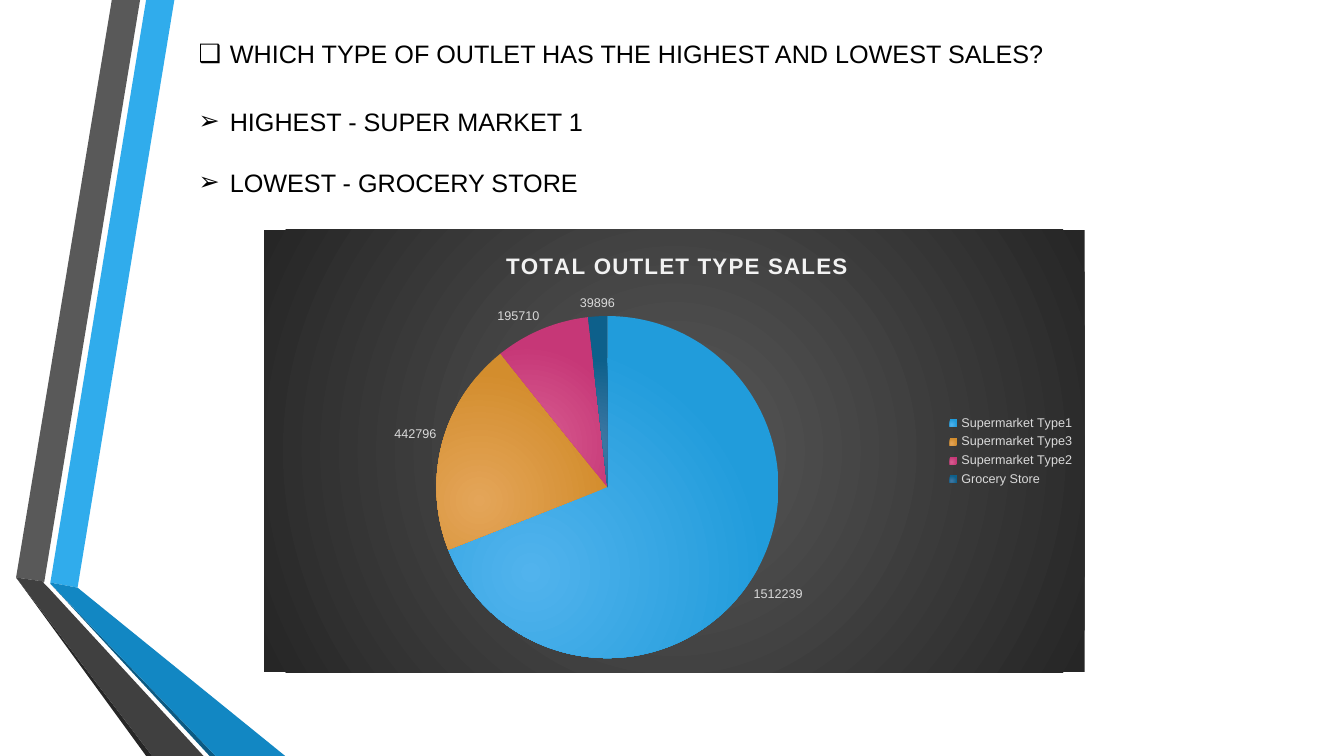
from dataclasses import dataclass

from lxml import etree
from pptx import Presentation
from pptx.chart.data import CategoryChartData
from pptx.dml.color import RGBColor
from pptx.enum.chart import XL_CHART_TYPE, XL_LABEL_POSITION, XL_LEGEND_POSITION
from pptx.enum.text import MSO_ANCHOR, MSO_AUTO_SIZE, PP_ALIGN
from pptx.oxml import parse_xml
from pptx.oxml.ns import nsdecls, qn
from pptx.util import Inches, Pt

PIE = XL_CHART_TYPE.PIE
OUTSIDE_END = XL_LABEL_POSITION.OUTSIDE_END
LEGEND_RIGHT = XL_LEGEND_POSITION.RIGHT
TOP = MSO_ANCHOR.TOP
LEFT = PP_ALIGN.LEFT
NO_AUTOFIT = MSO_AUTO_SIZE.NONE

CELL = Inches(0.1)
COLUMNS, ROWS = 133.33, 75


@dataclass(frozen=True)
class Theme:
    font: str = "Arial"
    text: str = "000000"
    chart_title: str = "F2F2F2"
    chart_text: str = "D9D9D9"
    chart_back: tuple = ("595959", "262626")
    text_size: int = 18
    chart_title_size: int = 16
    chart_text_size: int = 9
    bullet_indent: float = 3.1
    list_gap: int = 22


THEME = Theme()

RIBBONS = [
    ("30ACEC", [(5, 57.8), (7.7, 58.3), (17.3, 0), (14.5, 0)]),
    ("595959", [(13.9, 0), (11.1, 0), (1.6, 57.3), (4.4, 57.7)]),
    ("262626", [(1.6, 57.3), (14.5, ROWS), (15.1, ROWS)]),
    ("0C5A82", [(5, 57.9), (20.8, ROWS), (21.4, ROWS)]),
    ("1287C3", [(5, 57.9), (21.4, ROWS), (28.3, ROWS), (7.7, 58.3), (5, 57.8)]),
    ("404040", [(20.2, ROWS), (4.8, 58.3), (4.3, 57.8), (4.4, 57.7),
                (1.6, 57.3), (15.1, ROWS)]),
]

OUTLETS = [
    ("Supermarket Type1", 1512239, ("51B3ED", "219CDB")),
    ("Supermarket Type3", 442796, ("E4A559", "D38D2D")),
    ("Supermarket Type2", 195710, ("D95F92", "C63777")),
    ("Grocery Store", 39896, ("4179A5", "0D608B")),
]


def cells(count):
    return round(count * CELL)


def style_font(font, size, color, bold=False):
    font.name = THEME.font
    font.size = Pt(size)
    font.bold = bold
    font.color.rgb = RGBColor.from_string(color)


def add_ribbon(slide, color, corners):
    points = [(cells(column), cells(row)) for column, row in corners]
    builder = slide.shapes.build_freeform(*points[0])
    builder.add_line_segments(points[1:], close=True)
    shape = builder.convert_to_shape()
    shape.shadow.inherit = False
    shape.fill.solid()
    shape.fill.fore_color.rgb = RGBColor.from_string(color)
    shape.line.fill.background()


def set_bullet(paragraph, character):
    properties = paragraph._p.get_or_add_pPr()
    indent = cells(THEME.bullet_indent)
    properties.set("marL", str(indent))
    properties.set("indent", str(-indent))
    etree.SubElement(properties, qn("a:buFont")).set("typeface", THEME.font)
    etree.SubElement(properties, qn("a:buChar")).set("char", character)


def fill_placeholder(shape, box, bullet, lines):
    shape.left, shape.top, shape.width, shape.height = map(cells, box)
    frame = shape.text_frame
    frame.word_wrap = True
    frame.auto_size = NO_AUTOFIT
    frame.vertical_anchor = TOP
    for index, line in enumerate(lines):
        paragraph = frame.add_paragraph() if index else frame.paragraphs[0]
        paragraph.alignment = LEFT
        paragraph.space_before = Pt(THEME.list_gap if index else 0)
        set_bullet(paragraph, bullet)
        run = paragraph.add_run()
        run.text = line
        style_font(run.font, THEME.text_size, THEME.text)


def radial_fill(colors, focus):
    stops = "".join(
        f'<a:gs pos="{position}"><a:srgbClr val="{color}"/></a:gs>'
        for position, color in zip((0, 100000), colors))
    edges = " ".join(f'{side}="{share * 1000}"' for side, share in zip("ltrb", focus))
    return parse_xml(
        f'<a:gradFill {nsdecls("a")} rotWithShape="1"><a:gsLst>{stops}</a:gsLst>'
        f'<a:path path="circle"><a:fillToRect {edges}/></a:path></a:gradFill>')


def place_in_chart(element, index, **shares):
    for layout in element.findall(qn("c:layout")):
        element.remove(layout)
    layout = etree.Element(qn("c:layout"))
    manual = etree.SubElement(layout, qn("c:manualLayout"))
    if "w" in shares:
        etree.SubElement(manual, qn("c:layoutTarget")).set("val", "inner")
    for axis in "xy":
        etree.SubElement(manual, qn(f"c:{axis}Mode")).set("val", "edge")
    for name, share in shares.items():
        etree.SubElement(manual, qn(f"c:{name}")).set("val", str(share))
    element.insert(index, layout)


def paint_chart_back(chart):
    properties = etree.Element(qn("c:spPr"))
    properties.append(radial_fill(THEME.chart_back, (50, 50, 50, 50)))
    line = etree.SubElement(properties, qn("a:ln"))
    etree.SubElement(line, qn("a:noFill"))
    chart._chartSpace.find(qn("c:chart")).addnext(properties)


def title_chart(chart, text):
    chart.has_title = True
    run = chart.chart_title.text_frame.paragraphs[0].add_run()
    run.text = text
    style_font(run.font, THEME.chart_title_size, THEME.chart_title, bold=True)
    run._r.get_or_add_rPr().set("spc", "100")
    place_in_chart(chart.chart_title._element, 1, x=0.29, y=0.04)


def paint_slices(series):
    for index, (_, _, colors) in enumerate(OUTLETS):
        look = series.points[index].format
        look.fill.solid()
        look.line.fill.background()
        properties = series._element.findall(qn("c:dPt"))[index].find(qn("c:spPr"))
        solid = properties.find(qn("a:solidFill"))
        properties.replace(solid, radial_fill(colors, (50, 100, 100, 50)))


def add_sales_pie(slide, box, title):
    data = CategoryChartData()
    data.categories = [name for name, _, _ in OUTLETS]
    data.add_series("Series 1", [sales for _, sales, _ in OUTLETS])
    chart = slide.shapes.add_chart(PIE, *map(cells, box), data).chart
    style_font(chart.font, THEME.chart_text_size, THEME.chart_text)
    paint_chart_back(chart)
    title_chart(chart, title)
    chart.has_legend = True
    chart.legend.position = LEGEND_RIGHT
    chart.legend.include_in_layout = False
    style_font(chart.legend.font, THEME.chart_text_size, THEME.chart_text)
    plot = chart.plots[0]
    plot.vary_by_categories = True
    plot.has_data_labels = True
    labels = plot.data_labels
    labels.show_value = True
    labels.show_percentage = False
    labels.position = OUTSIDE_END
    style_font(labels.font, THEME.chart_text_size, THEME.chart_text)
    paint_slices(plot.series[0])
    plot_area = chart._chartSpace.find(qn("c:chart")).find(qn("c:plotArea"))
    place_in_chart(plot_area, 0, x=0.21, y=0.195, w=0.417, h=0.773)


def main():
    presentation = Presentation()
    presentation.slide_width = cells(COLUMNS)
    presentation.slide_height = cells(ROWS)
    slide = presentation.slides.add_slide(presentation.slide_layouts[1])
    for color, corners in RIBBONS:
        add_ribbon(slide, color, corners)
    fill_placeholder(slide.shapes.title, (18.7, 3.3, 90.3, 7.1), "❑",
                     ["WHICH TYPE OF OUTLET HAS THE HIGHEST AND LOWEST SALES?"])
    add_sales_pie(slide, (26.2, 22.8, 81.4, 43.9), "TOTAL OUTLET TYPE SALES")
    fill_placeholder(slide.placeholders[1], (18.7, 10, 52.7, 10.1), "➢",
                     ["HIGHEST - SUPER MARKET 1", "LOWEST - GROCERY STORE"])
    presentation.save("out.pptx")


if __name__ == "__main__":
    main()
